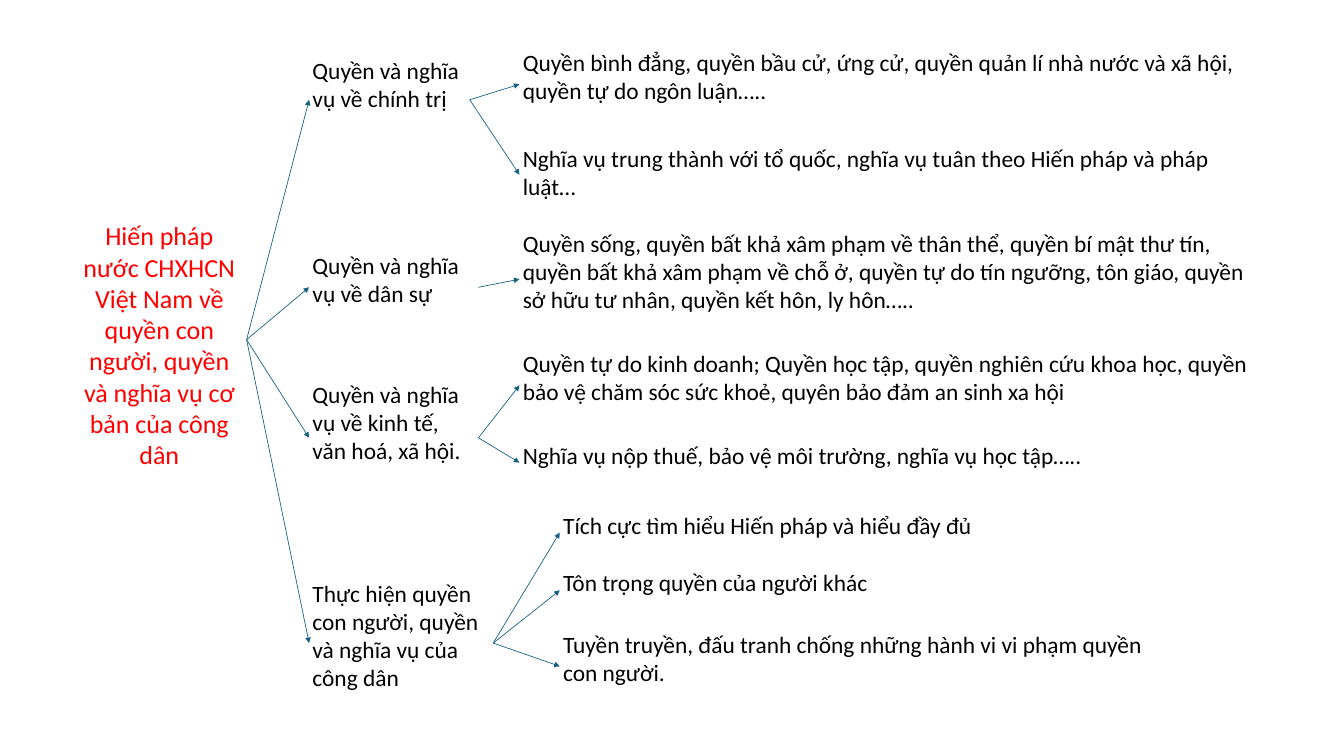
from lxml import etree
from pptx import Presentation
from pptx.dml.color import RGBColor
from pptx.enum.shapes import MSO_CONNECTOR
from pptx.enum.text import MSO_ANCHOR, MSO_AUTO_SIZE, PP_ALIGN
from pptx.oxml.ns import qn
from pptx.util import Inches, Pt

STRAIGHT = MSO_CONNECTOR.STRAIGHT
TOP = MSO_ANCHOR.TOP
NO_FIT = MSO_AUTO_SIZE.NONE
LEFT, CENTER = PP_ALIGN.LEFT, PP_ALIGN.CENTER
LEFT_SIDE, RIGHT_SIDE = 1, 3
TITLE_ONLY = 5

SLIDE_WIDTH, SLIDE_HEIGHT = Inches(20), Inches(11.25)
COLUMNS, ROWS = 2000, 1125
INSET = Inches(0.05)
LINE_PITCH = 1.2

ROOT_BOX = (107, 322, 260, 367)
ROOT_TEXT = "Hiến pháp nước CHXHCN Việt Nam về quyền con người, quyền và nghĩa vụ cơ bản của công dân"

BRANCHES = [
    {
        "box": (460, 67, 1428, 244),
        "topic": ("Quyền và nghĩa vụ về chính trị", 11, 239, 141),
        "leaf_offset": 313,
        "leaves": [
            ("Quyền bình đẳng, quyền bầu cử, ứng cử, quyền quản lí nhà nước và xã hội, "
             "quyền tự do ngôn luận…..", 0, 117),
            ("Nghĩa vụ trung thành với tổ quốc, nghĩa vụ tuân theo Hiến pháp và pháp luật…", 142, 102),
        ],
    },
    {
        "box": (460, 336, 1428, 159),
        "topic": ("Quyền và nghĩa vụ về dân sự", 33, 252, 117),
        "leaf_offset": 313,
        "leaves": [
            ("Quyền sống, quyền bất khả xâm phạm về thân thể, quyền bí mật thư tín, "
             "quyền bất khả xâm phạm về chỗ ở, quyền tự do tín ngưỡng, tôn giáo, "
             "quyền sở hữu tư nhân, quyền kết hôn, ly hôn…..", 0, 159),
        ],
    },
    {
        "box": (460, 515, 1428, 229),
        "topic": ("Quyền và nghĩa vụ về kinh tế, văn hoá, xã hội.", 45, 252, 183),
        "leaf_offset": 313,
        "leaves": [
            ("Quyền tự do kinh doanh; Quyền học tập, quyền nghiên cứu khoa học, "
             "quyền bảo vệ chăm sóc sức khoẻ, quyên bảo đảm an sinh xa hội", 0, 117),
            ("Nghĩa vụ nộp thuế, bảo vệ môi trường, nghĩa vụ học tập…..", 136, 75),
        ],
    },
    {
        "box": (460, 755, 1249, 303),
        "topic": ("Thực hiện quyền con người, quyền và nghĩa vụ của công dân", 102, 274, 200),
        "leaf_offset": 373,
        "leaves": [
            ("Tích cực tìm hiểu Hiến pháp và hiểu đầy đủ", 0, 75),
            ("Tôn trọng quyền của người khác", 86, 75),
            ("Tuyền truyền, đấu tranh chống những hành vi vi phạm quyền con người.", 178, 117),
        ],
    },
]


def set_color(color_format, value):
    color_format.rgb = RGBColor.from_string(value)


def to_lengths(box):
    left, top, width, height = box
    column, row = SLIDE_WIDTH / COLUMNS, SLIDE_HEIGHT / ROWS
    return int(left * column), int(top * row), int(width * column), int(height * row)


def write_text(shape, text, size=25.1, color="000000", alignment=LEFT):
    shape.fill.solid()
    set_color(shape.fill.fore_color, "FFFFFF")
    frame = shape.text_frame
    frame.word_wrap = True
    frame.auto_size = NO_FIT
    frame.vertical_anchor = TOP
    frame.margin_left = frame.margin_right = INSET
    frame.margin_top = frame.margin_bottom = INSET
    paragraph = frame.paragraphs[0]
    paragraph.alignment = alignment
    paragraph.line_spacing = Pt(round(size * LINE_PITCH, 1))
    paragraph.space_before = Pt(0)
    run = paragraph.add_run()
    run.text = text
    run.font.name = "Calibri"
    run.font.size = Pt(size)
    set_color(run.font.color, color)


def add_node(slide, box, text):
    shape = slide.shapes.add_textbox(*to_lengths(box))
    write_text(shape, text)
    return shape


def add_arrow(slide, parent, child):
    connector = slide.shapes.add_connector(STRAIGHT, 0, 0, 0, 0)
    connector.begin_connect(parent, RIGHT_SIDE)
    connector.end_connect(child, LEFT_SIDE)
    connector.line.width = Pt(0.75)
    set_color(connector.line.color, "156082")
    properties = connector.element.spPr
    etree.SubElement(properties.find(qn("a:ln")), qn("a:tailEnd"), type="triangle")
    etree.SubElement(properties, qn("a:effectLst"))


def add_root(slide, box):
    title = slide.shapes.title
    title.left, title.top, title.width, title.height = to_lengths(box)
    write_text(title, ROOT_TEXT, size=27.9, color="FF0000", alignment=CENTER)
    return title


def add_branch(slide, root, box, topic, leaf_offset, leaves):
    left, top, width, _ = box
    topic_text, topic_offset, topic_width, topic_height = topic
    topic_shape = add_node(slide, (left, top + topic_offset, topic_width, topic_height), topic_text)
    add_arrow(slide, root, topic_shape)
    for text, offset, height in leaves:
        leaf_box = (left + leaf_offset, top + offset, width - leaf_offset, height)
        add_arrow(slide, topic_shape, add_node(slide, leaf_box, text))


def main():
    presentation = Presentation()
    presentation.slide_width, presentation.slide_height = SLIDE_WIDTH, SLIDE_HEIGHT
    slide = presentation.slides.add_slide(presentation.slide_layouts[TITLE_ONLY])
    root = add_root(slide, ROOT_BOX)
    for branch in BRANCHES:
        add_branch(slide, root, **branch)
    presentation.save("out.pptx")


if __name__ == "__main__":
    main()
